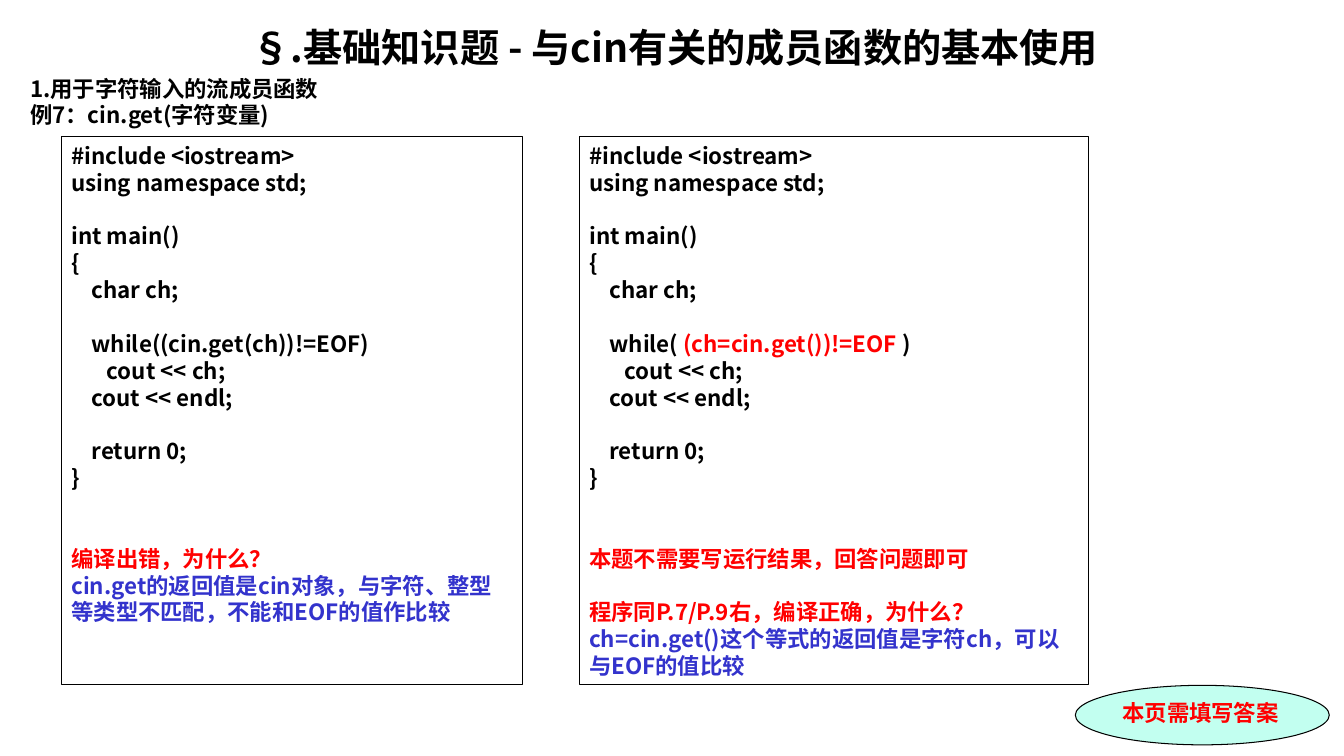
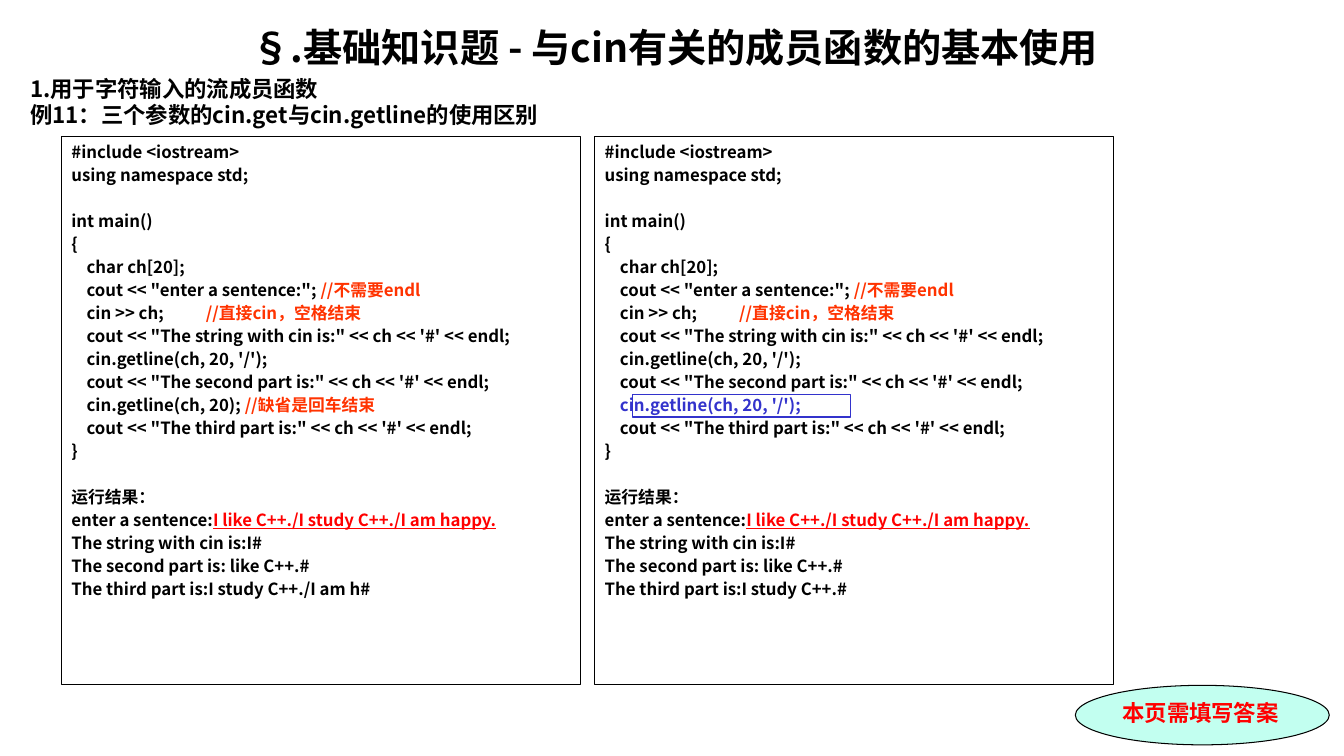
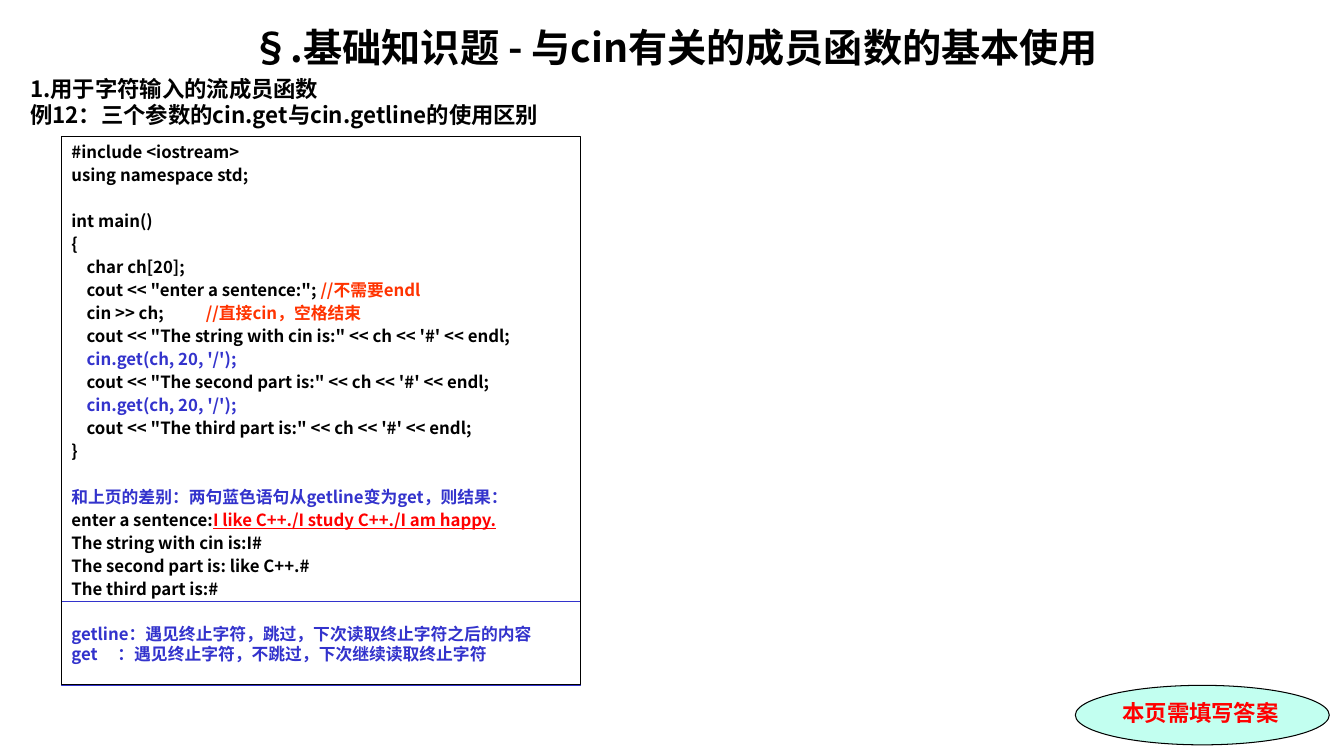
import pptx
import pptx.util
import pptx.dml.color
import pptx.enum.shapes
import pptx.enum.text
import pptx.oxml.ns
import lxml.etree

Cm, Pt = pptx.util.Cm, pptx.util.Pt
SHAPE = pptx.enum.shapes.MSO_SHAPE
ALIGN = pptx.enum.text.PP_ALIGN
qn = pptx.oxml.ns.qn

COLORS = {"black": "000000", "red": "FF0000", "blue": "3333CC",
          "orange": "FF3300", "mint": "C2FFF0"}
FONT, BADGE_FONT = "Noto Sans CJK SC", "Times New Roman"
LEADING = 1.2  # line height as a multiple of the text size

# Content: a line is a string or a list of (text, colour) runs; "" is a blank line
TITLE = "§.基础知识题 - 与cin有关的成员函数的基本使用"
SECTION = "1.用于字符输入的流成员函数"
BADGE = "本页需填写答案"
COMPARE = "三个参数的cin.get与cin.getline的使用区别"


def echo_program(loop):
    return ["#include <iostream>", "using namespace std;", "", "int main()", "{",
            "    char ch;", "", loop, "       cout << ch;", "    cout << endl;",
            "", "    return 0;", "}", "", ""]


def sentence_program(second_read, third_read, caption, third_part):
    return ["#include <iostream>", "using namespace std;", "", "int main()", "{",
            "    char ch[20];",
            [('    cout << "enter a sentence:"; ', "black"), ("//不需要endl", "orange")],
            [("    cin >> ch;\t", "black"), ("//直接cin，空格结束", "orange")],
            "    cout << \"The string with cin is:\" << ch << '#' << endl;",
            second_read,
            "    cout << \"The second part is:\" << ch << '#' << endl;",
            third_read,
            "    cout << \"The third part is:\" << ch << '#' << endl;",
            "}", "", caption,
            [("enter a sentence:", "black"),
             ("I like C++./I study C++./I am happy.", "red", True)],
            "The string with cin is:I#", "The second part is: like C++.#",
            "The third part is:" + third_part]


GETLINE = "    cin.getline(ch, 20, '/');"
BLUE_GETLINE = [(GETLINE, "blue")]
BLUE_GET = [("    cin.get(ch, 20, '/');", "blue")]

get_wrong = echo_program("    while((cin.get(ch))!=EOF)") + [
    [("编译出错，为什么？", "red")],
    [("cin.get的返回值是cin对象，与字符、整型等类型不匹配，不能和EOF的值作比较", "blue")]]
get_right = echo_program([("    while( ", "black"), ("(ch=cin.get())!=EOF ", "red"),
                          (")", "black")]) + [
    [("本题不需要写运行结果，回答问题即可", "red")], "",
    [("程序同P.7/P.9右，编译正确，为什么？", "red")],
    [("ch=cin.get()这个等式的返回值是字符ch，可以与EOF的值比较", "blue")]]
getline_default = sentence_program(
    GETLINE, [("    cin.getline(ch, 20); ", "black"), ("//缺省是回车结束", "orange")],
    "运行结果：", "I study C++./I am h#")
getline_slash = sentence_program(GETLINE, BLUE_GETLINE, "运行结果：", "I study C++.#")
get_slash = sentence_program(
    BLUE_GET, BLUE_GET,
    [("和上页的差别：两句蓝色语句从getline变为get，则结果：", "blue")], "#")
stop_rule = [[("getline：遇见终止字符，跳过，下次读取终止字符之后的内容", "blue")],
             [("get\t：遇见终止字符，不跳过，下次继续读取终止字符", "blue")]]

# Layout in cm
LEFT, TOP, HEIGHT = 1.55, 3.45, 13.79
PANEL, GAP = 13.08, 0.36
CODE_TAB, RULE_TAB = 3.39, 1.16
HIGHLIGHT = (15.93, 9.93, 5.51, 0.58)
NOTE = (LEFT, 15.16, PANEL, 2.11)

# Each panel: left, width, text size, space before, lines
SLIDES = [
    {"heading": "例7：cin.get(字符变量)",
     "panels": [(LEFT, 11.61, 16, 0, get_wrong), (14.6, 12.83, 16, 0, get_right)]},
    {"heading": "例11：" + COMPARE,
     "panels": [(LEFT, PANEL, 12, 2, getline_default),
                (LEFT + PANEL + GAP, PANEL, 12, 2, getline_slash)],
     "highlight": HIGHLIGHT},
    {"heading": "例12：" + COMPARE,
     "panels": [(LEFT, PANEL, 12, 2, get_slash)], "note": stop_rule},
]


def rgb(name):
    return pptx.dml.color.RGBColor.from_string(COLORS[name])


def add_run(p, text, size, color="black", underline=False, font=FONT):
    r = p.add_run()
    r.text = text
    r.font.name, r.font.size, r.font.bold = font, Pt(size), True
    r.font.color.rgb = rgb(color)
    if underline:
        r.font.underline = True
    ea = lxml.etree.Element(qn("a:ea"), typeface=FONT)
    r._r.rPr.find(qn("a:latin")).addnext(ea)


def set_paragraph(p, size, before=0, align=ALIGN.LEFT):
    p.alignment = align
    p.line_spacing = Pt(round(size * LEADING, 1))
    p.space_before = Pt(round(before, 1))


def add_tab(p, pos):
    tabs = lxml.etree.SubElement(p._p.get_or_add_pPr(), qn("a:tabLst"))
    lxml.etree.SubElement(tabs, qn("a:tab"), pos=str(int(Cm(pos))), algn="l")


def write_lines(tf, lines, size, before=0, tab=CODE_TAB):
    """Blank lines become space before the next paragraph."""
    p, blanks = tf.paragraphs[0], 0
    for i, line in enumerate(lines):
        if not line:
            blanks += 1
            continue
        if i:
            p = tf.add_paragraph()
        runs = [(line, "black")] if isinstance(line, str) else line
        if any("\t" in run[0] for run in runs):
            add_tab(p, tab)
        gap = before + blanks * (size * LEADING + before) if i else 0
        set_paragraph(p, size, gap)
        for text, *style in runs:
            add_run(p, text, size, *style)
        blanks = 0


def add_box(s, box, line="black", fill=None, kind=SHAPE.RECTANGLE,
            anchor=pptx.enum.text.MSO_ANCHOR.TOP):
    sp = s.shapes.add_shape(kind, *map(Cm, box))
    sp.shadow.inherit = False
    if fill:
        sp.fill.solid()
        sp.fill.fore_color.rgb = rgb(fill)
    else:
        sp.fill.background()
    sp.line.color.rgb = rgb(line)
    sp.line.width = Pt(0.75)
    tf = sp.text_frame
    tf.word_wrap, tf.vertical_anchor = True, anchor
    return tf


def add_heading(s, heading):
    tf = s.shapes.add_textbox(Cm(0.51), Cm(0.46), Cm(32.99), Cm(18.01)).text_frame
    tf.word_wrap = True
    p = tf.paragraphs[0]
    set_paragraph(p, 28, align=ALIGN.CENTER)
    add_run(p, TITLE, 28)
    p = tf.add_paragraph()
    set_paragraph(p, 16, 3.2)
    add_run(p, SECTION, 16)
    p.add_line_break()
    add_run(p, heading, 16)


def add_badge(s):
    tf = add_box(s, (27.1, 17.27, 6.4, 1.5), fill="mint", kind=SHAPE.OVAL)
    p = tf.paragraphs[0]
    set_paragraph(p, 16)
    add_run(p, BADGE, 16, "red", font=BADGE_FONT)


def main():
    prs = pptx.Presentation()
    prs.slide_width, prs.slide_height = Cm(33.87), Cm(19.05)
    for page in SLIDES:
        s = prs.slides.add_slide(prs.slide_layouts[6])
        add_heading(s, page["heading"])
        if "note" in page:
            tf = add_box(s, NOTE, "blue", anchor=pptx.enum.text.MSO_ANCHOR.MIDDLE)
            write_lines(tf, page["note"], 12, tab=RULE_TAB)
        for left, width, size, before, lines in page["panels"]:
            tf = add_box(s, (left, TOP, width, HEIGHT))
            write_lines(tf, lines, size, before)
        if "highlight" in page:
            add_box(s, page["highlight"], "blue")
        add_badge(s)
    prs.save("out.pptx")


if __name__ == "__main__":
    main()
